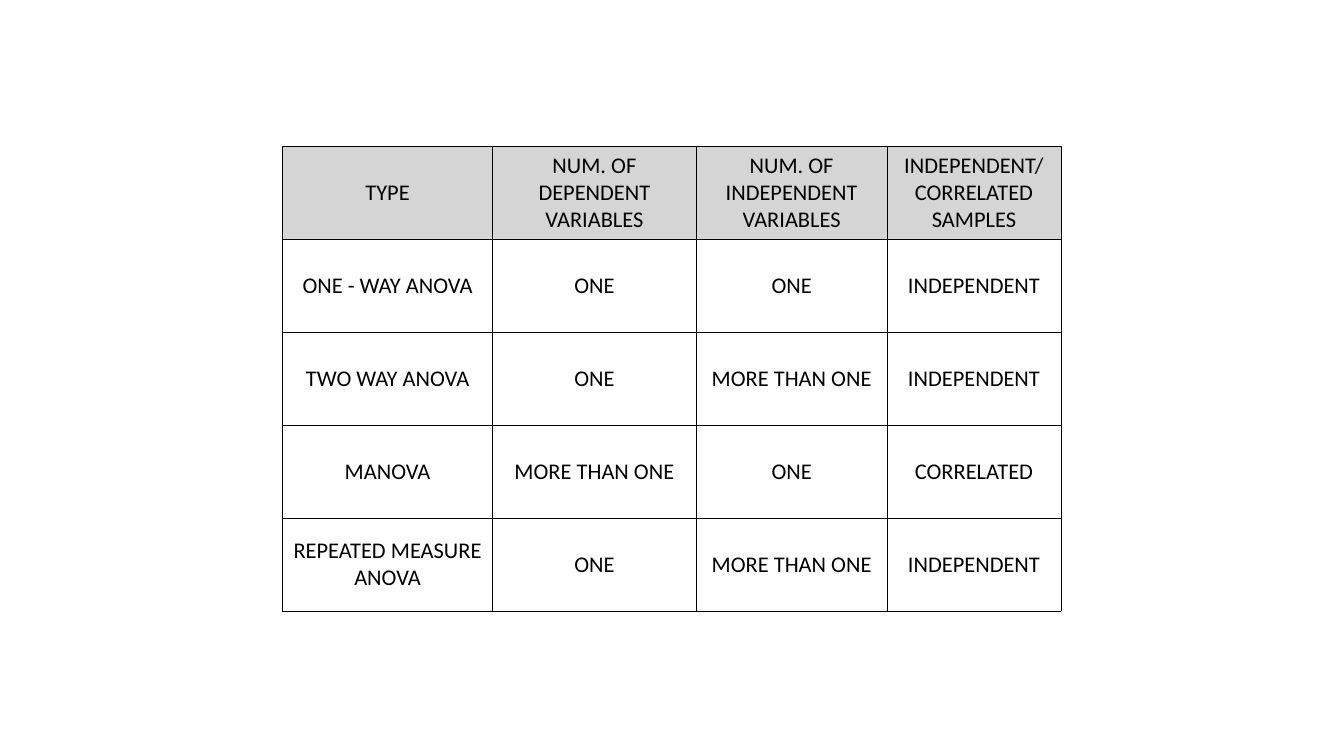
"""Build a slide with a table comparing the types of ANOVA."""
import pptx
import pptx.dml.color
import pptx.enum.text
import pptx.oxml
import pptx.oxml.ns
import pptx.util

Pt = pptx.util.Pt
BLACK = pptx.dml.color.RGBColor(0x00, 0x00, 0x00)
HEADER_GRAY = pptx.dml.color.RGBColor(0xD5, 0xD5, 0xD5)

ROWS = [
    ["TYPE", "NUM. OF DEPENDENT VARIABLES", "NUM. OF INDEPENDENT VARIABLES",
     "INDEPENDENT/ CORRELATED SAMPLES"],
    ["ONE - WAY ANOVA", "ONE", "ONE", "INDEPENDENT"],
    ["TWO WAY ANOVA", "ONE", "MORE THAN ONE", "INDEPENDENT"],
    ["MANOVA", "MORE THAN ONE", "ONE", "CORRELATED"],
    ["REPEATED MEASURE ANOVA", "ONE", "MORE THAN ONE", "INDEPENDENT"],
]
COLUMN_WIDTHS = [299.5, 291.5, 272, 249]
ROW_HEIGHT = 132.75
CELL_MARGIN = Pt(4)


def add_borders(cell):
    """Draw a thin black line on each side of the cell."""
    properties = cell._tc.get_or_add_tcPr()
    for position, side in enumerate(["lnL", "lnR", "lnT", "lnB"]):
        line = pptx.oxml.parse_xml(
            f'<a:{side} {pptx.oxml.ns.nsdecls("a")} w="{Pt(1)}">'
            f'<a:solidFill><a:srgbClr val="{BLACK}"/></a:solidFill></a:{side}>'
        )
        properties.insert(position, line)


presentation = pptx.Presentation()
presentation.slide_width = Pt(1920)
presentation.slide_height = Pt(1080)
slide = presentation.slides.add_slide(presentation.slide_layouts[6])

table = slide.shapes.add_table(
    len(ROWS), len(COLUMN_WIDTHS), Pt(404), Pt(209),
    Pt(sum(COLUMN_WIDTHS)), Pt(ROW_HEIGHT * len(ROWS)),
).table
table.first_row = False
table.horz_banding = False
for column, width in zip(table.columns, COLUMN_WIDTHS):
    column.width = Pt(width)

for row_index, texts in enumerate(ROWS):
    table.rows[row_index].height = Pt(ROW_HEIGHT)
    for column_index, text in enumerate(texts):
        cell = table.cell(row_index, column_index)
        cell.vertical_anchor = pptx.enum.text.MSO_ANCHOR.MIDDLE
        cell.margin_left = cell.margin_right = CELL_MARGIN
        cell.margin_top = cell.margin_bottom = CELL_MARGIN
        if row_index == 0:
            cell.fill.solid()
            cell.fill.fore_color.rgb = HEADER_GRAY
        else:
            cell.fill.background()
        add_borders(cell)

        paragraph = cell.text_frame.paragraphs[0]
        paragraph.text = text
        paragraph.alignment = pptx.enum.text.PP_ALIGN.CENTER
        font = paragraph.runs[0].font
        font.name = "Calibri"
        font.size = Pt(32)
        font.color.rgb = BLACK

presentation.save("out.pptx")
